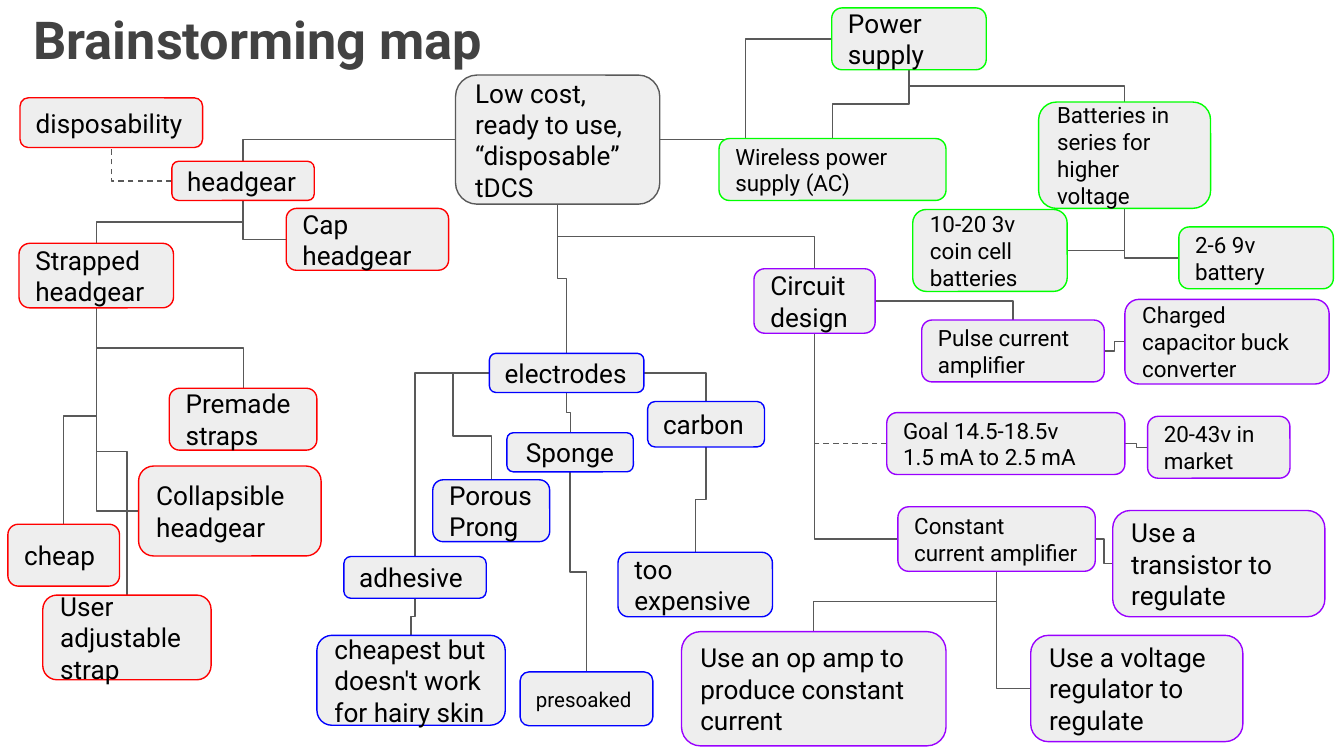
from lxml import etree
from pptx import Presentation
from pptx.dml.color import RGBColor
from pptx.enum.dml import MSO_LINE
from pptx.enum.shapes import MSO_CONNECTOR, MSO_SHAPE
from pptx.enum.text import MSO_ANCHOR, MSO_AUTO_SIZE, PP_ALIGN
from pptx.oxml.ns import qn
from pptx.util import Cm, Pt

ROUNDED = MSO_SHAPE.ROUNDED_RECTANGLE
ELBOW = MSO_CONNECTOR.ELBOW
DASH = MSO_LINE.DASH
MIDDLE, BOTTOM = MSO_ANCHOR.MIDDLE, MSO_ANCHOR.BOTTOM
LEFT, CENTER = PP_ALIGN.LEFT, PP_ALIGN.CENTER
TOP_SIDE, LEFT_SIDE, BOTTOM_SIDE, RIGHT_SIDE = range(4)

FONT = "Roboto"
COLORS = {
    "background": "FFFFFF",
    "title": "424242",
    "text": "000000",
    "box": "EEEEEE",
    "goal": "595959",
    "headgear": "FF0000",
    "electrodes": "0000FF",
    "power": "00FF00",
    "circuit": "9900FF",
}

IDEAS = {
    "goal": [
        ("tdcs", "Low cost, ready to use, “disposable” tDCS", 14, (8.61, 1.42, 3.86, 2.44)),
    ],
    "headgear": [
        ("headgear", "headgear", 14, (3.25, 3.05, 2.69, 0.74)),
        ("cap", "Cap headgear", 14, (5.41, 3.94, 3.07, 1.17)),
        ("strapped", "Strapped headgear", 14, (0.36, 4.6, 2.92, 1.22)),
        ("cheap", "cheap", 14, (0.15, 9.91, 2.11, 1.17)),
        ("disposability", "disposability", 14, (0.38, 1.85, 3.45, 0.94)),
        ("premade", "Premade straps", 14, (3.2, 7.34, 2.79, 1.17)),
        ("adjustable", "User adjustable strap", 14, (0.81, 11.25, 3.18, 1.6)),
        ("collapsible", "Collapsible headgear", 14, (2.62, 8.81, 3.45, 1.7)),
    ],
    "electrodes": [
        ("electrodes", "electrodes", 14, (9.25, 6.68, 2.92, 0.74)),
        ("sponge", "Sponge", 14, (9.58, 8.18, 2.39, 0.74)),
        ("adhesive", "adhesive", 14, (6.5, 10.52, 2.69, 0.79)),
        ("expensive", "too expensive", 14, (11.68, 10.44, 2.92, 1.22)),
        ("cheapest", "cheapest but doesn't work for hairy skin", 14, (5.99, 12.01, 3.56, 1.7)),
        ("carbon", "carbon", 14, (12.24, 7.59, 2.21, 0.86)),
        ("prong", "Porous Prong", 14, (8.18, 9.07, 2.21, 1.17)),
        ("presoaked", "presoaked", 11, (9.83, 12.7, 2.51, 1.02)),
    ],
    "power": [
        ("power", "Power supply", 14, (15.72, 0.15, 2.92, 1.17)),
        ("wireless", "Wireless power supply (AC)", 12, (13.59, 2.62, 4.29, 1.17)),
        ("batteries", "Batteries in series for higher voltage", 12, (19.63, 1.93, 3.25, 2.01)),
        ("coin", "10-20 3v coin cell batteries", 12, (17.25, 3.96, 2.92, 1.55)),
        ("nine_volt", "2-6 9v battery", 12, (22.28, 4.29, 2.92, 1.17)),
    ],
    "circuit": [
        ("circuit", "Circuit design", 14, (14.25, 5.08, 2.29, 1.22)),
        ("pulse", "Pulse current amplifier", 12, (17.42, 6.05, 3.45, 1.17)),
        ("capacitor", "Charged capacitor buck converter", 12, (21.26, 5.66, 3.86, 1.6)),
        ("target", "Goal 14.5-18.5v\n1.5 mA to 2.5 mA", 12, (16.76, 7.8, 4.5, 1.17)),
        ("market", "20-43v in market", 12, (21.69, 7.87, 2.69, 1.17)),
        ("constant", "Constant current amplifier", 12, (16.97, 9.58, 3.73, 1.22)),
        ("transistor", "Use a transistor to regulate", 14, (21.03, 9.65, 4.01, 2.01)),
        ("regulator", "Use a voltage regulator to regulate", 14, (19.48, 12.01, 4.01, 2.01)),
        ("op_amp", "Use an op amp to produce constant current", 14, (12.88, 11.94, 5, 2.16)),
    ],
}

SIDEWAYS_LINKS = [
    ("tdcs", "power"), ("pulse", "capacitor"),
    ("target", "market"), ("constant", "transistor"),
]
DOWNWARD_LINKS = [
    ("electrodes", "sponge"), ("headgear", "strapped"), ("power", "wireless"),
    ("power", "batteries"), ("strapped", "cheap"), ("strapped", "premade"),
    ("strapped", "adjustable"), ("tdcs", "electrodes"), ("tdcs", "circuit"),
    ("carbon", "expensive"), ("constant", "op_amp"), ("sponge", "presoaked"),
    ("adhesive", "cheapest"),
]
CORNER_LINKS = [
    ("tdcs", LEFT_SIDE, "headgear", TOP_SIDE),
    ("cap", LEFT_SIDE, "headgear", BOTTOM_SIDE),
    ("circuit", RIGHT_SIDE, "pulse", TOP_SIDE),
    ("coin", RIGHT_SIDE, "batteries", BOTTOM_SIDE),
    ("nine_volt", LEFT_SIDE, "batteries", BOTTOM_SIDE),
    ("electrodes", RIGHT_SIDE, "carbon", TOP_SIDE),
    ("electrodes", LEFT_SIDE, "adhesive", TOP_SIDE),
    ("collapsible", LEFT_SIDE, "strapped", BOTTOM_SIDE),
    ("constant", LEFT_SIDE, "circuit", BOTTOM_SIDE),
    ("regulator", LEFT_SIDE, "constant", BOTTOM_SIDE),
]
DASHED_LINKS = [
    ("headgear", LEFT_SIDE, "disposability", BOTTOM_SIDE),
    ("target", LEFT_SIDE, "circuit", BOTTOM_SIDE),
]


def color(name):
    return RGBColor.from_string(COLORS[name])


def write(frame, text, size=14, fill="text", bold=False, align=LEFT, anchor=MIDDLE):
    frame.text = text
    frame.word_wrap = True
    frame.auto_size = MSO_AUTO_SIZE.NONE
    frame.vertical_anchor = anchor
    frame.margin_left = frame.margin_right = Cm(0.25)
    frame.margin_top = frame.margin_bottom = Cm(0.25)
    for paragraph in frame.paragraphs:
        paragraph.alignment = align
        paragraph.font.name = FONT
        paragraph.font.size = Pt(size)
        paragraph.font.bold = bold
        paragraph.font.color.rgb = color(fill)


def add_title(slide, text):
    title = slide.shapes.title
    title.left, title.top, title.width, title.height = map(Cm, (0.38, -0.18, 19.53, 1.75))
    write(title.text_frame, text, size=28, fill="title", bold=True, anchor=BOTTOM)


def add_idea(slide, text, size, place, branch, align=LEFT):
    idea = slide.shapes.add_shape(ROUNDED, *map(Cm, place))
    idea.shadow.inherit = False
    idea.fill.solid()
    idea.fill.fore_color.rgb = color("box")
    idea.line.color.rgb = color(branch)
    idea.line.width = Pt(0.75)
    write(idea.text_frame, text, size=size, align=align)
    return idea


def add_link(slide, start, start_side, end, end_side, dash=None):
    link = slide.shapes.add_connector(ELBOW, 0, 0, 0, 0)
    link.begin_connect(start, start_side)
    link.end_connect(end, end_side)
    link.line.color.rgb = color("goal")
    link.line.width = Pt(0.75)
    link.line.dash_style = dash
    etree.SubElement(link._element.spPr, qn("a:effectLst"))
    slide.shapes._spTree.insert(2, link._element)
    return link


def set_bend(link, preset, **adjustments):
    geometry = link._element.spPr.find(qn("a:prstGeom"))
    geometry.set("prst", preset)
    guides = geometry.find(qn("a:avLst"))
    for name, share in adjustments.items():
        etree.SubElement(guides, qn("a:gd"), name=name, fmla=f"val {round(share * 100000)}")


def turn_downward(link):
    across, down = link.end_x - link.begin_x, link.end_y - link.begin_y
    center_x = (link.begin_x + link.end_x) // 2
    center_y = (link.begin_y + link.end_y) // 2
    link.width, link.height = abs(down), abs(across)
    link.left, link.top = center_x - abs(down) // 2, center_y - abs(across) // 2
    frame = link._element.spPr.find(qn("a:xfrm"))
    frame.set("rot", "16200000" if across > 0 else "5400000")
    frame.set("flipH", "1" if across > 0 else "0")


def main():
    deck = Presentation()
    deck.slide_width, deck.slide_height = Cm(25.4), Cm(14.29)
    slide = deck.slides.add_slide(deck.slide_layouts[5])
    slide.background.fill.solid()
    slide.background.fill.fore_color.rgb = color("background")
    add_title(slide, "Brainstorming map")

    ideas = {}
    for branch, entries in IDEAS.items():
        for key, text, size, place in entries:
            align = CENTER if key == "sponge" else LEFT
            ideas[key] = add_idea(slide, text, size, place, branch, align)

    for start, end in SIDEWAYS_LINKS:
        add_link(slide, ideas[start], RIGHT_SIDE, ideas[end], LEFT_SIDE)
    for start, end in DOWNWARD_LINKS:
        turn_downward(add_link(slide, ideas[start], BOTTOM_SIDE, ideas[end], TOP_SIDE))
    for links, dash in ((CORNER_LINKS, None), (DASHED_LINKS, DASH)):
        for start, start_side, end, end_side in links:
            link = add_link(slide, ideas[start], start_side, ideas[end], end_side, dash)
            set_bend(link, "bentConnector2")

    prong_link = add_link(slide, ideas["electrodes"], LEFT_SIDE, ideas["prong"], TOP_SIDE)
    set_bend(prong_link, "bentConnector4", adj1=-Cm(0.69) / prong_link.width, adj2=0.59)

    deck.save("out.pptx")


if __name__ == "__main__":
    main()
